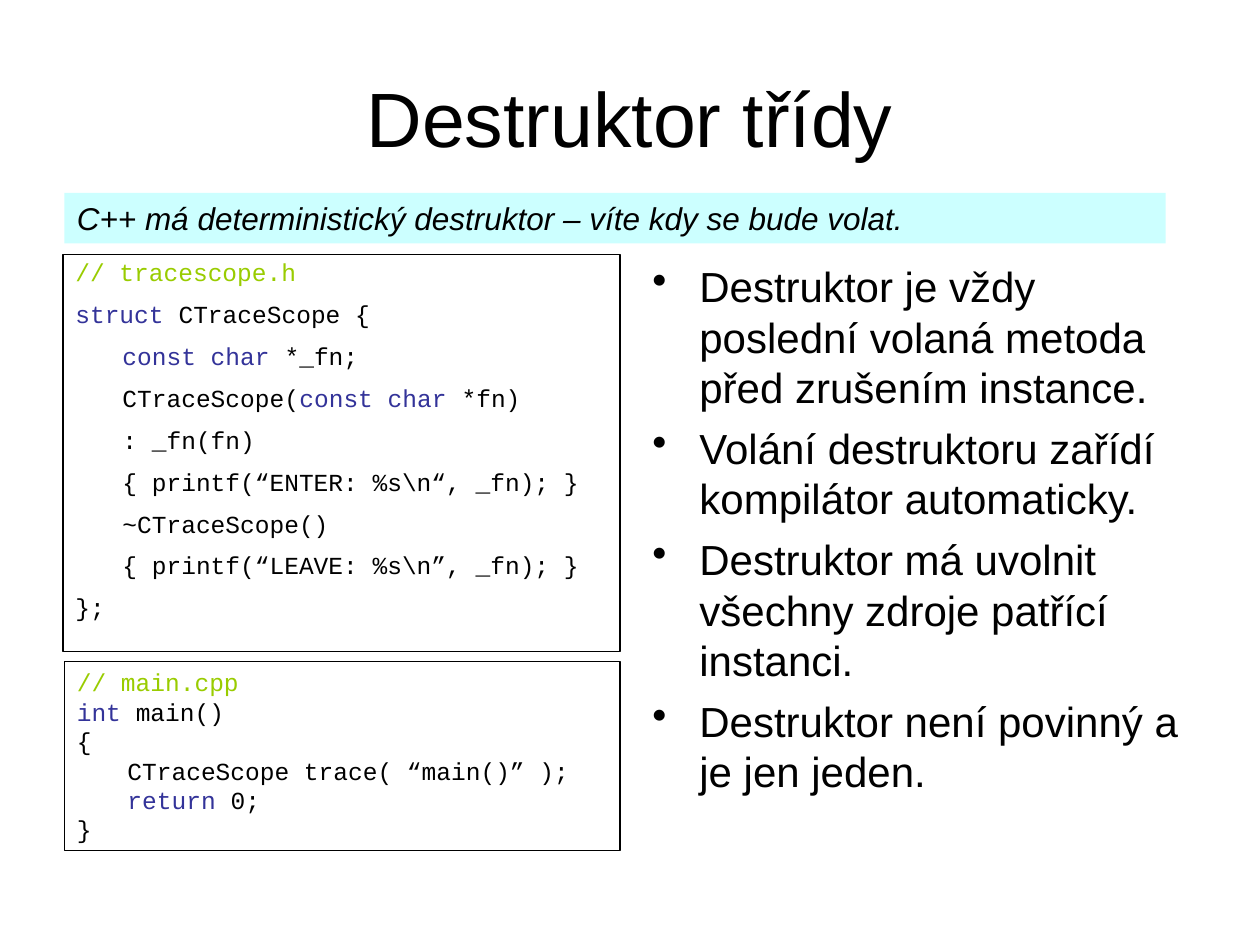
from lxml import etree
from pptx import Presentation
from pptx import util as u
from pptx.dml.color import RGBColor
from pptx.enum import shapes, text
from pptx.oxml.ns import qn

BLACK = RGBColor(0x00, 0x00, 0x00)
PALE_CYAN = RGBColor(0xCC, 0xFF, 0xFF)
COMMENT = RGBColor(0x99, 0xCC, 0x00)
KEYWORD = RGBColor(0x33, 0x33, 0x99)

HEADER_CODE = [
    [("// tracescope.h", COMMENT)],
    [("struct ", KEYWORD), "CTraceScope {"],
    ["\t", ("const char", KEYWORD), " *_fn;"],
    ["\tCTraceScope(", ("const char ", KEYWORD), "*fn)"],
    ["\t: _fn(fn)"],
    ["\t{ printf(“ENTER: %s\\n“, _fn); }"],
    ["\t~CTraceScope()"],
    ["\t{ printf(“LEAVE: %s\\n”, _fn); }"],
    ["};"],
]
MAIN_CODE = [
    [("// main.cpp", COMMENT)],
    [("int", KEYWORD), " main()"],
    ["{"],
    ["\tCTraceScope trace( “main()” );"],
    ["\t", ("return", KEYWORD), " 0;"],
    ["}"],
]
DESTRUCTOR_RULES = [
    ["Destruktor je vždy poslední volaná metoda před zrušením instance."],
    ["Volání destruktoru zařídí kompilátor automaticky."],
    ["Destruktor má uvolnit všechny zdroje patřící instanci."],
    ["Destruktor není povinný a je jen jeden."],
]


def write_text(frame, lines, font="Arial", size=18, italic=False, align=text.PP_ALIGN.LEFT,
               anchor=text.MSO_ANCHOR.TOP, before=0, spacing=1.0, hanging=0, bullet=None):
    """Fill the frame; each line is a list of strings or (string, colour) pairs."""
    frame.word_wrap = True
    frame.vertical_anchor = anchor
    for index, line in enumerate(lines):
        paragraph = frame.add_paragraph() if index else frame.paragraphs[0]
        paragraph.alignment = align
        paragraph.space_before = u.Pt(before)
        paragraph.line_spacing = spacing
        properties = paragraph._p.get_or_add_pPr()
        if hanging:
            properties.set("marL", str(u.Cm(hanging)))
            properties.set("indent", str(-u.Cm(hanging)))
        if bullet:
            etree.SubElement(properties, qn("a:buChar")).set("char", bullet)
        for part in line:
            words, color = (part, BLACK) if isinstance(part, str) else part
            run = paragraph.add_run()
            run.text = words
            run.font.name = font
            run.font.size = u.Pt(size)
            run.font.italic = italic
            run.font.color.rgb = color


class SlideBuilder:
    def __init__(self, slide):
        self.slide = slide
        self.code_font = "Courier New"
        self.code_size = 14
        self.line_width = u.Pt(0.75)

    def text_box(self, box, lines, **format):
        shape = self.slide.shapes.add_textbox(*map(u.Cm, box))
        write_text(shape.text_frame, lines, **format)

    def rectangle(self, box, lines, fill=None, line=None, **format):
        shape = self.slide.shapes.add_shape(shapes.MSO_SHAPE.RECTANGLE, *map(u.Cm, box))
        shape.shadow.inherit = False
        if fill is None:
            shape.fill.background()
        else:
            shape.fill.solid()
            shape.fill.fore_color.rgb = fill
        if line is None:
            shape.line.fill.background()
        else:
            shape.line.color.rgb = line
            shape.line.width = self.line_width
        write_text(shape.text_frame, lines, **format)

    def code(self, box, lines, **format):
        self.rectangle(box, lines, line=BLACK, font=self.code_font,
                       size=self.code_size, **format)


def main():
    presentation = Presentation()
    presentation.slide_width = u.Cm(25.4)
    presentation.slide_height = u.Cm(19.05)
    builder = SlideBuilder(presentation.slides.add_slide(presentation.slide_layouts[6]))

    builder.text_box((1.27, 0.76, 22.86, 3.18), [["Destruktor třídy"]], size=44,
                     align=text.PP_ALIGN.CENTER, anchor=text.MSO_ANCHOR.MIDDLE)
    builder.code((1.27, 5.13, 11.23, 8), HEADER_CODE, before=8.8, spacing=0.9, hanging=0.95)
    builder.text_box((12.9, 5.13, 11.23, 11.89), DESTRUCTOR_RULES, size=24,
                     before=6, hanging=0.95, bullet="•")
    builder.rectangle((1.3, 3.89, 22.2, 1.02),
                      [["C++ má deterministický destruktor – víte kdy se bude volat."]],
                      fill=PALE_CYAN, italic=True, before=11.2)
    builder.code((1.3, 13.33, 11.2, 3.81), MAIN_CODE, hanging=1.02)

    presentation.save("out.pptx")


if __name__ == "__main__":
    main()
